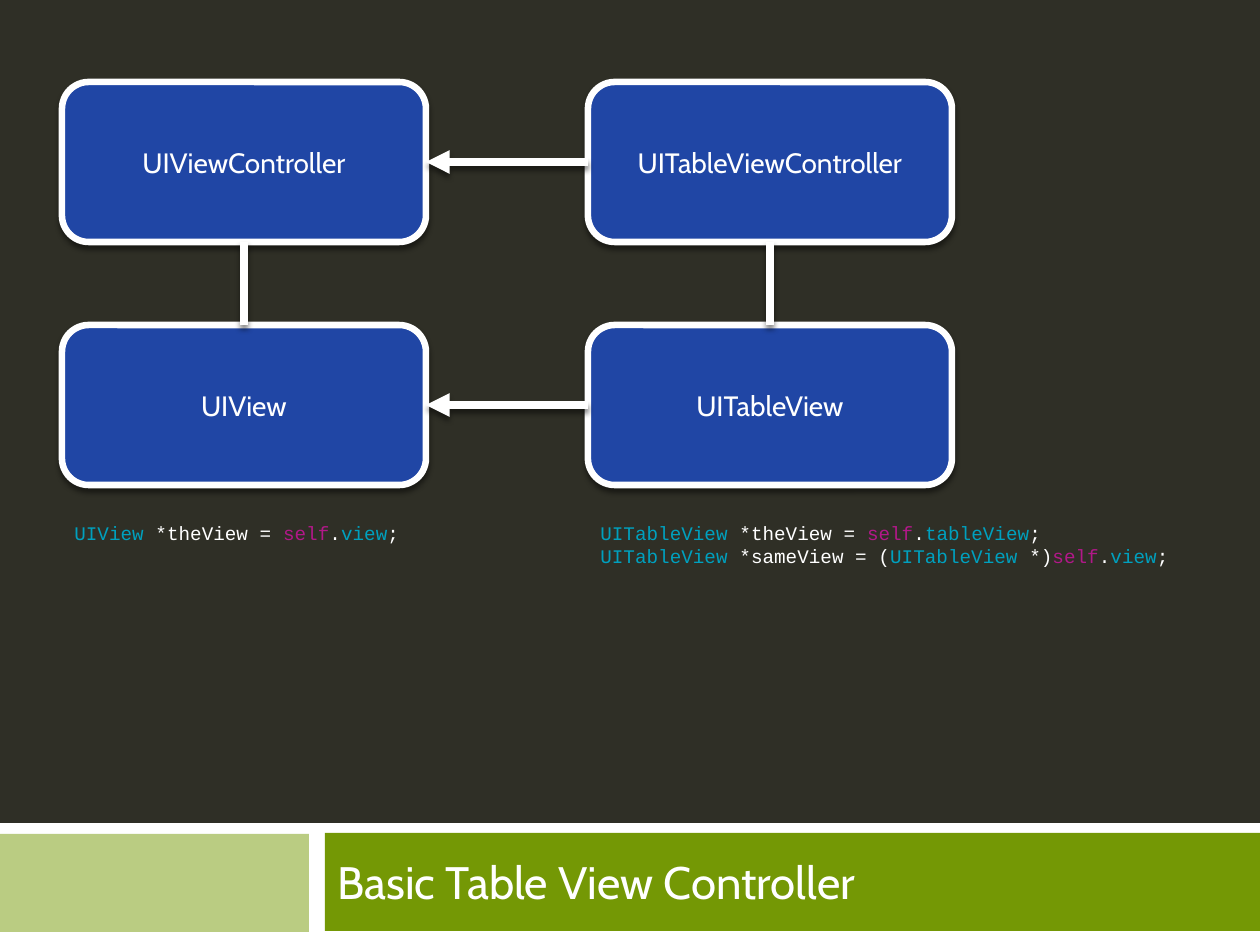
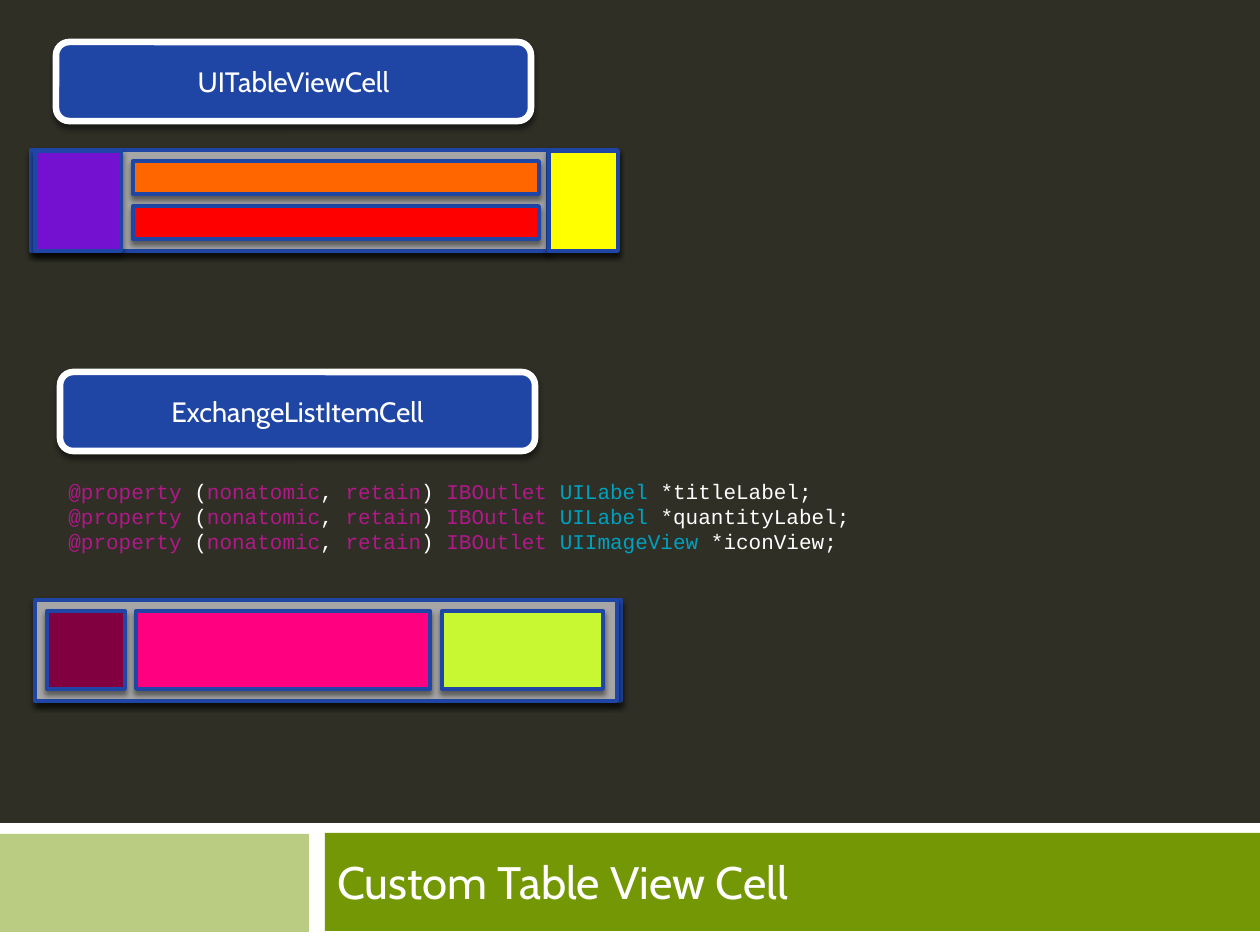
from pptx import Presentation
from pptx.dml.color import RGBColor
from pptx.enum.shapes import MSO_CONNECTOR, MSO_SHAPE
from pptx.enum.text import MSO_ANCHOR, PP_ALIGN
from pptx.oxml import parse_xml
from pptx.oxml.ns import nsdecls, qn
from pptx.util import Pt

SCALE = 914400 / 126
RECT = MSO_SHAPE.RECTANGLE
ROUND = MSO_SHAPE.ROUNDED_RECTANGLE
LINE = MSO_CONNECTOR.STRAIGHT
TOP = MSO_ANCHOR.TOP
MIDDLE = MSO_ANCHOR.MIDDLE
LEFT = PP_ALIGN.LEFT
CENTER = PP_ALIGN.CENTER

DARK = "2F2F26"
WHITE = "FFFFFF"
PALE = "BACC82"
GREEN = "749805"
BLUE = "2046A5"
GREY = "A6A6A6"
TEAL = "00A0BE"
PINK = "B21889"
SANS = "Cabin"
MONO = "Courier New"

SHADOW = (
    f'<a:effectLst {nsdecls("a")}>'
    '<a:outerShdw blurRad="38100" dist="30480" dir="5400000" rotWithShape="0">'
    '<a:srgbClr val="000000"><a:alpha val="45000"/></a:srgbClr>'
    '</a:outerShdw></a:effectLst>'
)
ARROW = f'<a:tailEnd {nsdecls("a")} type="triangle"/>'


def box(host, kind, area, fill, edge=None, width=0):
    shape = host.add_shape(kind, *[round(n * SCALE) for n in area])
    shape.fill.solid()
    shape.fill.fore_color.rgb = RGBColor.from_string(fill)
    if edge:
        shape.line.color.rgb = RGBColor.from_string(edge)
        shape.line.width = Pt(width)
        shape._element.spPr.append(parse_xml(SHADOW))
    else:
        shape.line.fill.background()
        shape.shadow.inherit = False
    return shape


def write(shape, rows, font, size, anchor=TOP, align=LEFT, before=0):
    frame = shape.text_frame
    frame.word_wrap = True
    frame.vertical_anchor = anchor
    for i, row in enumerate(rows):
        para = frame.add_paragraph() if i else frame.paragraphs[0]
        para.alignment = align
        para.space_before = Pt(before)
        for text, color in row:
            run = para.add_run()
            run.text = text
            run.font.name = font
            run.font.size = Pt(size)
            run.font.color.rgb = RGBColor.from_string(color)


deck = Presentation()
deck.slide_width = round(1260 * SCALE)
deck.slide_height = round(945 * SCALE)

bands = [
    ((0, 823, 1260, 122), WHITE),
    ((-1, 834, 310, 98), PALE),
    ((325, 833, 935, 98), GREEN),
]
pages = []
for title in ["Basic Table View Controller", "Custom Table View Cell"]:
    page = deck.slides.add_slide(deck.slide_layouts[6])
    page.background.fill.solid()
    page.background.fill.fore_color.rgb = RGBColor.from_string(DARK)
    for area, color in bands:
        box(page.shapes, RECT, area, color)
    head = page.shapes.add_textbox(*[round(n * SCALE) for n in (325, 834, 924, 94)])
    write(head, [[(title, WHITE)]], SANS, 26, MIDDLE, before=7)
    pages.append(page.shapes)

basic, custom = pages

nodes = []
names = ["UIViewController", "UITableViewController", "UIView", "UITableView"]
for i, name in enumerate(names):
    row, col = divmod(i, 2)
    area = (62 + 526 * col, 82 + 243 * row, 364, 160)
    node = box(basic, ROUND, area, BLUE, WHITE, 3.75)
    write(node, [[(name, WHITE)]], SANS, 16, MIDDLE, CENTER)
    nodes.append(node)

links = [(1, 1, 0, 3, True), (0, 2, 2, 0, False), (1, 2, 3, 0, False), (3, 1, 2, 3, True)]
for start, out, end, into, arrow in links:
    link = basic.add_connector(LINE, 0, 0, 0, 0)
    link.begin_connect(nodes[start], out)
    link.end_connect(nodes[end], into)
    link.line.color.rgb = RGBColor.from_string(WHITE)
    link.line.width = Pt(4.5)
    props = link._element.spPr
    if arrow:
        props.find(qn("a:ln")).append(parse_xml(ARROW))
    props.append(parse_xml(SHADOW))

own = [("self", PINK), (".", WHITE)]
view = own + [("view", TEAL), (";", WHITE)]
table = own + [("tableView", TEAL), (";", WHITE)]
cast = [(" *sameView = (", WHITE), ("UITableView", TEAL), (" *)", WHITE)]
fields = []
for kind, name in [("UILabel", "title"), ("UILabel", "quantity"), ("UIImageView", "icon")]:
    part = "View" if name == "icon" else "Label"
    fields.append([
        ("@property", PINK), (" (", WHITE), ("nonatomic", PINK), (", ", WHITE),
        ("retain", PINK), (") ", WHITE), ("IBOutlet ", PINK), (kind, TEAL),
        (f" *{name}{part};", WHITE),
    ])

codes = [
    (basic, (62, 515, 364, 37), 11, [[("UIView", TEAL), (" *theView = ", WHITE)] + view]),
    (basic, (588, 515, 630, 59), 11, [
        [("UITableView", TEAL), (" *theView = ", WHITE)] + table,
        [("UITableView", TEAL)] + cast + view,
    ]),
    (custom, (56, 472, 1149, 89), 12, fields),
]
for host, area, size, rows in codes:
    code = host.add_textbox(*[round(n * SCALE) for n in area])
    write(code, rows, MONO, size)

cells = [
    [
        ((35, 150, 582, 101), WHITE),
        ((31, 150, 517, 101), GREY),
        ((35, 151, 86, 100), "7411D0"),
        ((133, 161, 406, 33), "FF6600"),
        ((133, 206, 406, 33), "FF0000"),
        ((549, 151, 69, 100), "FFFF00"),
    ],
    [
        ((39, 600, 582, 101), WHITE),
        ((35, 600, 582, 101), GREY),
        ((47, 611, 78, 78), "800040"),
        ((136, 611, 294, 78), "FF0080"),
        ((442, 611, 161, 78), "C8F832"),
    ],
]
for parts in cells:
    group = custom.add_group_shape()
    for area, color in parts:
        box(group.shapes, RECT, area, color, BLUE, 2.25)

for name, left, top in [("UITableViewCell", 56, 42), ("ExchangeListItemCell", 60, 372)]:
    label = box(custom, ROUND, (left, top, 475, 79), BLUE, WHITE, 3.75)
    write(label, [[(name, WHITE)]], SANS, 16, MIDDLE, CENTER)

deck.save("out.pptx")
